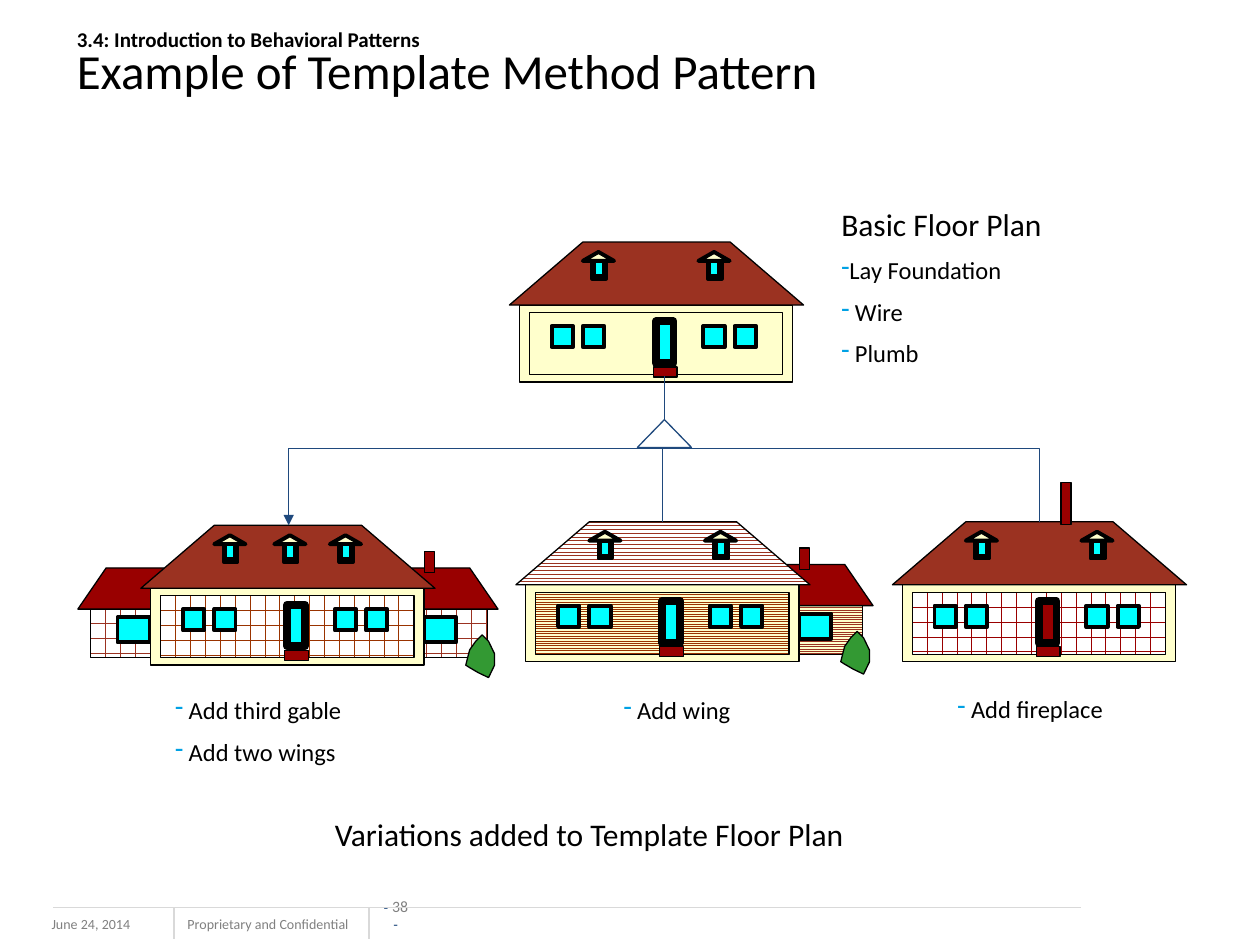
from lxml import etree
from pptx import Presentation
from pptx.dml.color import RGBColor
from pptx.enum.dml import MSO_PATTERN
from pptx.enum.shapes import MSO_CONNECTOR, MSO_SHAPE
from pptx.enum.text import MSO_ANCHOR, PP_ALIGN
from pptx.oxml.ns import qn
from pptx.util import Cm, Pt

RECT, TRI = MSO_SHAPE.RECTANGLE, MSO_SHAPE.ISOSCELES_TRIANGLE
LINE, ELBOW = MSO_CONNECTOR.STRAIGHT, MSO_CONNECTOR.ELBOW
BRICK, ZIGZAG = MSO_PATTERN.HORIZONTAL_BRICK, MSO_PATTERN.ZIG_ZAG
STRIPE = MSO_PATTERN.LIGHT_HORIZONTAL
TOP, MID, LOW = MSO_ANCHOR.TOP, MSO_ANCHOR.MIDDLE, MSO_ANCHOR.BOTTOM
LEFT, CENTER = PP_ALIGN.LEFT, PP_ALIGN.CENTER


class Theme:
    ink, white, cream, glass = "000000", "FFFFFF", "FFFFCC", "00FFFF"
    roof, red, rust, leaf = "9B3221", "990000", "993300", "339933"
    navy, gray, rule, dash = "1F497D", "808080", "D9D9D9", "00A1E4"
    font, alt = "Calibri", "Arial"
    title, head, body, kicker, page, foot = 28, 18, 14, 12, 9, 8
    thin, bold, heavy = 0.75, 2.25, 4.5


T = Theme

# Content: a text is a place (cm) and its paragraphs; "-" marks a bullet
KICKER = "3.4: Introduction to Behavioral Patterns"
TITLE = "Example of Template Method Pattern"
NOTES = [
    ((16.71, 4.01, 6.15, 3.71),
     ["Basic Floor Plan", "-Lay Foundation", "- Wire", "- Plumb"]),
    ((12.32, 13.89, 4.24, 0.84), ["- Add wing"]),
    ((19.05, 13.87, 4.24, 0.84), ["- Add fireplace"]),
    ((3.28, 13.89, 4.24, 1.75), ["- Add third gable", "- Add two wings"]),
    ((6.5, 16.31, 14.45, 1.02), ["Variations added to Template Floor Plan"]),
]
FOOTER = [((0.79, 18.34, 3.38, 0.63), "June 24, 2014"),
          ((3.53, 18.34, 3.99, 0.61), "Proprietary and Confidential")]
PAGE = [("- ", T.foot, T.alt, T.navy), ("38 ", T.page, T.font, T.gray),
        ("-", T.foot, T.alt, T.navy)]
RULES = [(21.79, 18.29, 1.07, 18.29), (3.51, 18.29, 3.51, 18.92),
         (7.44, 18.29, 7.44, 18.92)]

# Houses: top left of the roof, then what differs from the basic plan
PAIR = [1.48, 3.81]
HOUSES = [
    dict(at=(10.27, 4.88)),
    dict(at=(10.4, 10.52), front=(STRIPE, T.rust, T.cream),
         roof=(ZIGZAG, T.roof, T.white), wing=(STRIPE, T.roof, T.cream),
         wings=[0]),
    dict(at=(17.99, 10.52), front=(BRICK, T.red, T.white), door=T.red,
         stack=True),
    dict(at=(2.84, 10.59), front=(BRICK, T.rust, T.white),
         wing=(BRICK, T.roof, T.white), wings=[0, -6.17],
         gables=PAIR + [2.69]),
]
ROOF = [(0, 1.27), (1.48, 0), (4.45, 0), (5.93, 1.27)]
EAVES = [(0, 0.83), (0.57, 0), (1.73, 0), (2.3, 0.83)]
BUSH = [(0.25, 0.76), (0.08, 0.66), (0, 0.61), (0.05, 0.41), (0.08, 0.3),
        (0.2, 0.13), (0.33, 0), (0.46, 0.13), (0.58, 0.38), (0.58, 0.61),
        (0.46, 0.86)]

# Tree: links run from the basic plan, bend at one height, end on a roof
START, BEND = (13.39, 7.59), 9.04
ENDS = [((5.82, 10.59), True), ((20.96, 10.52), False),
        ((13.36, 10.52), False)]

deck = Presentation()
deck.slide_width, deck.slide_height = Cm(25.4), Cm(19.05)
slide = deck.slides.add_slide(deck.slide_layouts[6])


def rgb(code):
    return RGBColor.from_string(code)


def paint(shape, fill, wide=T.thin, edge=T.ink):
    shape.shadow.inherit = False
    if isinstance(fill, tuple):
        shape.fill.patterned()
        shape.fill.pattern, fore, back = fill
        shape.fill.fore_color.rgb = rgb(fore)
        shape.fill.back_color.rgb = rgb(back)
    else:
        shape.fill.solid()
        shape.fill.fore_color.rgb = rgb(fill)
    shape.line.color.rgb = rgb(edge)
    shape.line.width = Pt(wide)


def wire(kind, ends, color):
    link = slide.shapes.add_connector(kind, *map(Cm, ends))
    link.line.color.rgb = rgb(color)
    link.line.width = Pt(T.thin)
    etree.SubElement(link.element.spPr, qn("a:effectLst"))
    return link


def bent(end, arrow):
    """Elbow that leaves downward: a box turned by a quarter."""
    (sx, sy), (ex, ey) = START, end
    long, wide = ey - sy, abs(ex - sx)
    x, y = (sx + ex - long) / 2, (sy + ey - wide) / 2
    right = ex > sx
    xs = (x + long, x) if right else (x, x + long)
    link = wire(ELBOW, (xs[0], y, xs[1], y + wide), T.navy)
    props = link.element.spPr
    props.find(qn("a:xfrm")).set("rot", str((270 if right else 90) * 60000))
    part = int((BEND - sy) / long * 100000)
    etree.SubElement(props.find(".//" + qn("a:avLst")), qn("a:gd"),
                     name="adj1", fmla=f"val {part}")
    if arrow:
        etree.SubElement(props.find(qn("a:ln")), qn("a:tailEnd"),
                         type="triangle")


def write(para, text, size, font=T.font, color=T.ink, bold=False):
    run = para.add_run()
    run.text = text
    run.font.size, run.font.name, run.font.bold = Pt(size), font, bold
    run.font.color.rgb = rgb(color)


def frame(place, anchor=TOP, align=LEFT):
    body = slide.shapes.add_textbox(*map(Cm, place)).text_frame
    body.word_wrap, body.vertical_anchor = True, anchor
    body.paragraphs[0].alignment = align
    return body


def note(place, lines):
    body = frame(place)
    for i, text in enumerate(lines):
        para = body.add_paragraph() if i else body.paragraphs[0]
        point = text.startswith("-")
        size = T.body if point else T.head
        para.space_before = Pt(size / 2 if i else 0)
        if point:
            props = para._p.get_or_add_pPr()
            tint = etree.SubElement(props, qn("a:buClr"))
            etree.SubElement(tint, qn("a:srgbClr"), val=T.dash)
            etree.SubElement(props, qn("a:buChar"), char="-")
        write(para, text[1:] if point else text, size)


def house(at, front=T.cream, roof=T.roof, door=T.glass, wing=None, wings=(),
          gables=PAIR, stack=False):
    shapes = slide.shapes.add_group_shape().shapes

    def box(x, y, w, h, fill, wide=T.thin, kind=RECT):
        paint(shapes.add_shape(kind, Cm(at[0] + x), Cm(at[1] + y), Cm(w),
                               Cm(h)), fill, wide)

    def poly(x, y, points, fill):
        spots = [(Cm(at[0] + x + a), Cm(at[1] + y + b)) for a, b in points]
        form = shapes.build_freeform(*spots[0])
        form.add_line_segments(spots[1:], close=True)
        paint(form.convert_to_shape(), fill)

    # Wings behind; the right one has a bush and a chimney
    for dx in wings:
        box(dx + 5.16, 1.68, 1.83, 0.99, wing)
        poly(dx + 4.9, 0.86, EAVES, T.red)
        box(dx + 5.7, 1.85, 0.66, 0.51, T.glass, T.bold)
        if dx == 0:
            poly(6.55, 2.21, BUSH, T.leaf)
            box(5.72, 0.53, 0.2, 0.43, T.red)
    # Walls, windows, door and step
    box(0.2, 1.27, 5.51, 1.55, T.cream)
    box(0.4, 1.42, 5.11, 1.25, front)
    for x in (0.85, 1.48, 3.91, 4.54):
        box(x, 1.69, 0.43, 0.43, T.glass, T.bold)
    box(2.95, 1.6, 0.36, 0.84, door, T.heavy)
    box(2.9, 2.52, 0.48, 0.2, T.red)
    # Roof and gables
    poly(0, 0, ROOF, roof)
    for x in gables:
        box(x, 0.2, 0.63, 0.18, T.cream, T.bold, TRI)
        box(x + 0.19, 0.38, 0.28, 0.36, T.cream, T.bold)
        box(x + 0.22, 0.38, 0.2, 0.3, T.glass, T.bold)
    if stack:
        box(3.4, -0.79, 0.2, 0.84, T.red)


# Footer
for place, text in FOOTER:
    write(frame(place).paragraphs[0], text, T.foot, color=T.gray)
body = frame((7.7, 18.42, 0.56, 0.38), LOW, CENTER)
body.margin_left = body.margin_right = body.margin_top = body.margin_bottom = 0
for piece in PAGE:
    write(body.paragraphs[0], *piece)
for ends in RULES:
    wire(LINE, ends, T.rule)

# Houses, captions and tree
for plan in HOUSES:
    house(**plan)
for place, lines in NOTES:
    note(place, lines)
for end, arrow in ENDS:
    bent(end, arrow)
paint(slide.shapes.add_shape(TRI, Cm(12.85), Cm(8.46), Cm(1.09), Cm(0.56)),
      T.white, edge=T.navy)

# Title
para = frame((1.3, 0.33, 22.66, 1.98), MID).paragraphs[0]
para.line_spacing = 0.8
write(para, KICKER, T.kicker, bold=True)
para.add_line_break()
write(para, TITLE, T.title)

deck.save("out.pptx")
